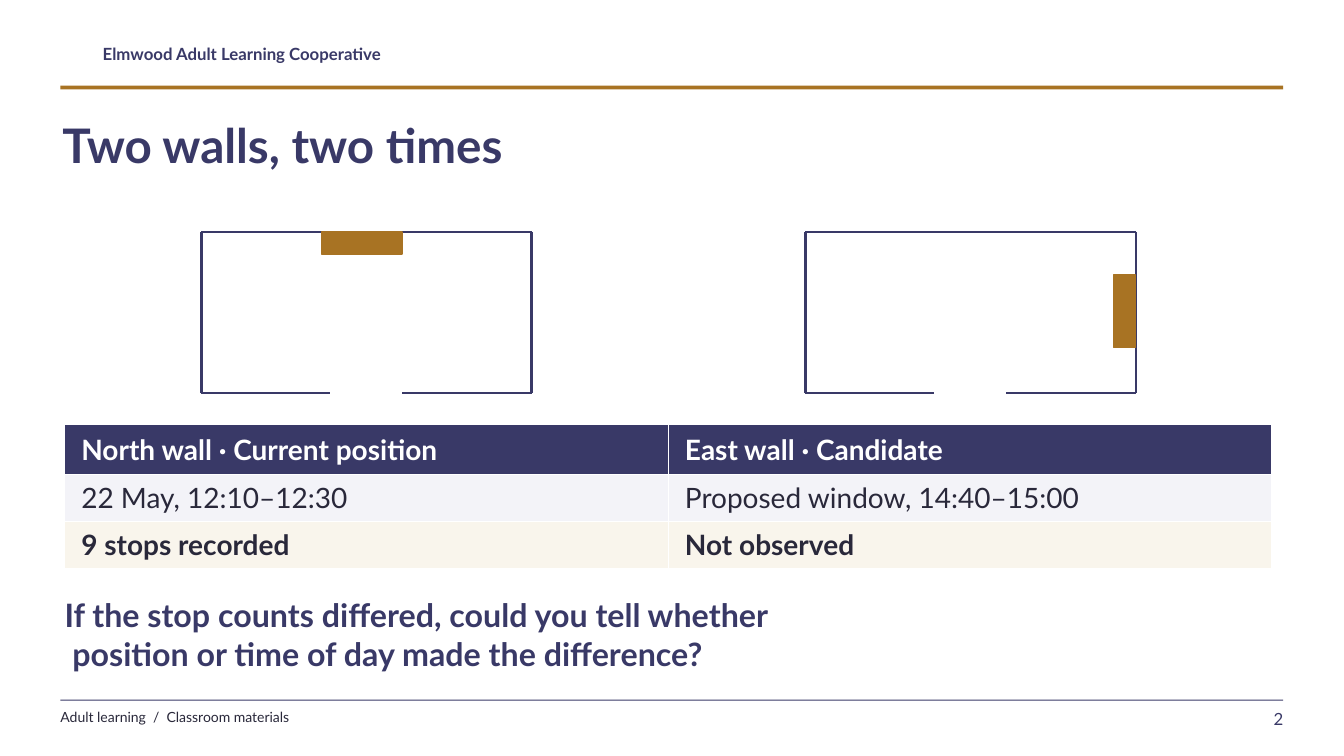
from dataclasses import dataclass

from lxml.etree import SubElement
from pptx import Presentation
from pptx.dml.color import RGBColor
from pptx.enum.shapes import MSO_CONNECTOR, MSO_SHAPE
from pptx.enum.text import MSO_ANCHOR, PP_ALIGN
from pptx.oxml import parse_xml
from pptx.oxml.ns import nsdecls, qn
from pptx.slide import Slide
from pptx.util import Pt


@dataclass(frozen=True)
class Theme:
    font: str = "Lato"
    navy: str = "393967"
    gold: str = "A87323"
    ink: str = "29283A"
    white: str = "FFFFFF"
    mist: str = "F3F3F8"
    cream: str = "F9F5EC"
    title: float = 34
    ask: float = 23
    cell: float = 20
    small: float = 12
    foot: float = 10


@dataclass(frozen=True)
class Box:
    left: float
    top: float
    width: float
    height: float


@dataclass(frozen=True)
class Label:
    text: str
    box: Box
    size: float
    color: str
    bold: bool = False
    align: PP_ALIGN = PP_ALIGN.LEFT


@dataclass(frozen=True)
class Bar:
    box: Box
    color: str
    edge: float = 0


@dataclass(frozen=True)
class Row:
    texts: tuple[str, str]
    height: float
    fill: str
    color: str
    bold: bool


THEME = Theme()
ROOM_TOP, ROOM_WIDTH, ROOM_HEIGHT = 165.6, 236, 115.2
DOOR_START, DOOR_END = 92, 143.5
ROOM_LEFTS = (143.8, 575.3)

RULES = [
    Bar(Box(43.2, 61.2, 873.4, 2.6), THEME.gold),
    Bar(Box(43.2, 499.7, 873.4, 0.8), THEME.navy),
]
DESKS = [
    Bar(Box(229.7, ROOM_TOP, 57.6, 15.8), THEME.gold, 1.1),
    Bar(Box(795.4, 196.4, 15.8, 51.9), THEME.gold, 1.1),
]
LABELS = [
    Label("Elmwood Adult Learning Cooperative", Box(73.4, 31, 432, 20),
          THEME.small, THEME.navy, True),
    Label("Adult learning  /  Classroom materials", Box(43.2, 506.2, 504, 16.6),
          THEME.foot, THEME.ink),
    Label("Two walls, two times", Box(44.6, 82.8, 864, 75.6),
          THEME.title, THEME.navy, True),
    Label("2", Box(860.4, 506.2, 56.2, 18), THEME.small, THEME.navy,
          align=PP_ALIGN.RIGHT),
    Label("If the stop counts differed, could you tell whether\v"
          " position or time of day made the difference?",
          Box(46.1, 425.5, 862.6, 63.4), THEME.ask, THEME.navy, True),
]
ROWS = [
    Row(("North wall · Current position", "East wall · Candidate"),
        35.6, THEME.navy, THEME.white, True),
    Row(("22 May, 12:10–12:30", "Proposed window, 14:40–15:00"),
        33.5, THEME.mist, THEME.ink, False),
    Row(("9 stops recorded", "Not observed"),
        33.8, THEME.cream, THEME.ink, True),
]
GRID = Box(46.1, 303.4, 862.4, sum(row.height for row in ROWS))


def rgb(color: str) -> RGBColor:
    return RGBColor.from_string(color)


def place(box: Box) -> tuple[Pt, Pt, Pt, Pt]:
    return Pt(box.left), Pt(box.top), Pt(box.width), Pt(box.height)


def style(para, size: float, color: str, bold: bool) -> None:
    font = para.font
    font.name, font.size, font.bold = THEME.font, Pt(size), bold
    font.color.rgb = rgb(color)


def draw_bar(slide: Slide, bar: Bar) -> None:
    shape = slide.shapes.add_shape(MSO_SHAPE.RECTANGLE, *place(bar.box))
    shape.shadow.inherit = False
    shape.fill.solid()
    shape.fill.fore_color.rgb = rgb(bar.color)
    if bar.edge:
        shape.line.color.rgb = rgb(bar.color)
        shape.line.width = Pt(bar.edge)
    else:
        shape.line.fill.background()


def draw_label(slide: Slide, label: Label) -> None:
    frame = slide.shapes.add_textbox(*place(label.box)).text_frame
    frame.word_wrap = True
    frame.margin_left = frame.margin_right = 0
    frame.margin_top = frame.margin_bottom = 0
    frame.text = label.text
    para = frame.paragraphs[0]
    para.alignment = label.align
    style(para, label.size, label.color, label.bold)


def draw_room(slide: Slide, left: float) -> None:
    right, base = left + ROOM_WIDTH, ROOM_TOP + ROOM_HEIGHT
    walls = [
        (left, ROOM_TOP, right, ROOM_TOP),
        (left, ROOM_TOP, left, base),
        (right, ROOM_TOP, right, base),
        (left, base, left + DOOR_START, base),
        (left + DOOR_END, base, right, base),
    ]
    for wall in walls:
        line = slide.shapes.add_connector(
            MSO_CONNECTOR.STRAIGHT, *(Pt(point) for point in wall))
        line.line.color.rgb = rgb(THEME.navy)
        line.line.width = Pt(1.8)
        SubElement(line.element.spPr, qn("a:effectLst"))


def add_edges(cell) -> None:
    props = cell._tc.get_or_add_tcPr()
    for i, side in enumerate("LRTB"):
        props.insert(i, parse_xml(
            f'<a:ln{side} {nsdecls("a")} w="{Pt(1)}"><a:solidFill>'
            f'<a:srgbClr val="{THEME.white}"/></a:solidFill></a:ln{side}>'))


def draw_table(slide: Slide) -> None:
    table = slide.shapes.add_table(len(ROWS), 2, *place(GRID)).table
    table.horz_banding = False
    for i, row in enumerate(ROWS):
        table.rows[i].height = Pt(row.height)
        for j, text in enumerate(row.texts):
            cell = table.cell(i, j)
            cell.text = text
            cell.vertical_anchor = MSO_ANCHOR.MIDDLE
            cell.margin_left = cell.margin_right = Pt(12)
            cell.margin_top = cell.margin_bottom = Pt(3)
            cell.fill.solid()
            cell.fill.fore_color.rgb = rgb(row.fill)
            add_edges(cell)
            style(cell.text_frame.paragraphs[0], THEME.cell, row.color, row.bold)


def main() -> None:
    deck = Presentation()
    deck.slide_width, deck.slide_height = Pt(960), Pt(540)
    slide = deck.slides.add_slide(deck.slide_layouts[6])
    for rule in RULES:
        draw_bar(slide, rule)
    for left, desk in zip(ROOM_LEFTS, DESKS):
        draw_room(slide, left)
        draw_bar(slide, desk)
    draw_table(slide)
    for label in LABELS:
        draw_label(slide, label)
    deck.save("out.pptx")


if __name__ == "__main__":
    main()
